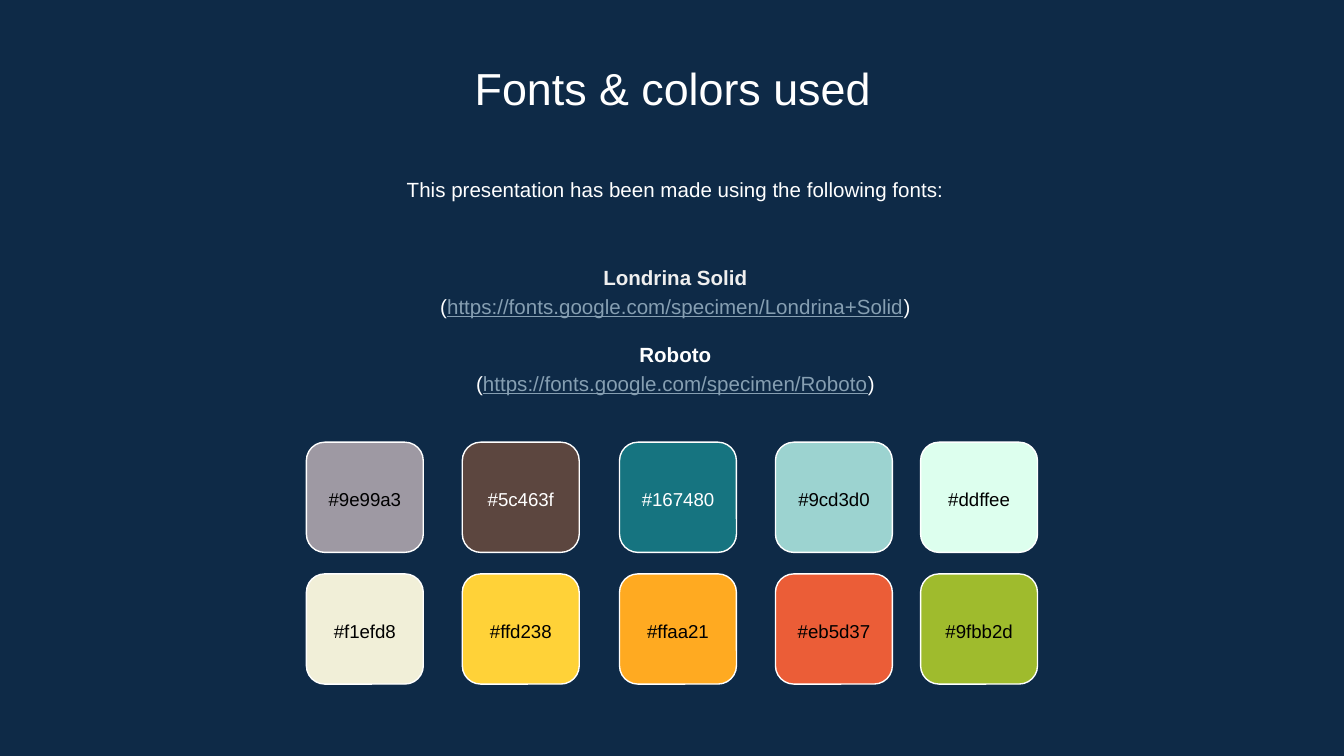
from pptx import Presentation
from pptx.dml.color import RGBColor
from pptx.enum.shapes import MSO_SHAPE as Shape
from pptx.enum.text import MSO_ANCHOR as Anchor, MSO_AUTO_SIZE as AutoSize, PP_ALIGN as Align
from pptx.util import Inches, Pt

WHITE, BLACK, PALE, LINK, NAVY = "FFFFFF", "000000", "EFEFEF", "869FB2", "0E2A47"
FONT_LINKS = [
    ("Londrina Solid", PALE, "https://fonts.google.com/specimen/Londrina+Solid"),
    ("Roboto", WHITE, "https://fonts.google.com/specimen/Roboto"),
]
PALETTE = [
    ["9e99a3", "5c463f", "167480", "9cd3d0", "ddffee"],
    ["f1efd8", "ffd238", "ffaa21", "eb5d37", "9fbb2d"],
]
DARK_SWATCHES = {"5c463f", "167480"}
COLUMN_LEFTS = [0, 1.16, 2.33, 3.49, 4.57]
ROW_STEP = 0.98
SWATCH_WIDTH, SWATCH_HEIGHT, LABEL_HEIGHT = 0.87, 0.82, 0.48


def rgb(hex_color):
    """Turn a hex string into a colour."""
    return RGBColor.from_string(hex_color.upper())


def set_frame(frame, anchor):
    """Give a text frame equal insets, wrapping and an anchor."""
    frame.word_wrap = True
    frame.auto_size = AutoSize.NONE
    frame.vertical_anchor = anchor
    frame.margin_left = frame.margin_right = Inches(0.1)
    frame.margin_top = frame.margin_bottom = Inches(0.1)


def add_text_frame(slide, box, anchor):
    """Add a text box and return its frame."""
    frame = slide.shapes.add_textbox(*map(Inches, box)).text_frame
    set_frame(frame, anchor)
    return frame


def add_run(paragraph, text, size, color, bold=False, underline=False):
    """Add one formatted run to a centred paragraph."""
    paragraph.alignment = Align.CENTER
    run = paragraph.add_run()
    run.text = text
    font = run.font
    font.name, font.size, font.bold, font.underline = "Arial", Pt(size), bold, underline
    font.color.rgb = rgb(color)


def add_title(slide, box):
    """Place and format the title placeholder."""
    title = slide.shapes.title
    title.left, title.top, title.width, title.height = map(Inches, box)
    set_frame(title.text_frame, Anchor.TOP)
    add_run(title.text_frame.paragraphs[0], "Fonts & colors used", 24, WHITE)


def add_intro(slide, box):
    """Add the sentence that introduces the fonts."""
    sentence = add_text_frame(slide, box, Anchor.TOP).paragraphs[0]
    sentence.line_spacing = 1.15
    add_run(sentence, "This presentation has been made using the following fonts:", 11, WHITE)


def add_font_list(slide, box):
    """Add each font name with its address below."""
    frame = add_text_frame(slide, box, Anchor.MIDDLE)
    for index, (name, name_color, address) in enumerate(FONT_LINKS):
        heading = frame.add_paragraph() if index else frame.paragraphs[0]
        if index:
            heading.space_before = Pt(11)
        add_run(heading, name, 11, name_color, bold=True)
        address_line = frame.add_paragraph()
        add_run(address_line, "(", 11, WHITE)
        add_run(address_line, address, 11, LINK, underline=True)
        add_run(address_line, ")", 11, WHITE)
    for paragraph in frame.paragraphs:
        paragraph.line_spacing = 1.15


def add_swatch(slide, left, top, color):
    """Add one rounded colour tile with its code centred on it."""
    box = (left, top, SWATCH_WIDTH, SWATCH_HEIGHT)
    tile = slide.shapes.add_shape(Shape.ROUNDED_RECTANGLE, *map(Inches, box))
    tile.shadow.inherit = False
    tile.fill.solid()
    tile.fill.fore_color.rgb = rgb(color)
    tile.line.color.rgb = rgb(WHITE)
    tile.line.width = Pt(0.75)
    label_top = top + (SWATCH_HEIGHT - LABEL_HEIGHT) / 2
    label_box = (left, label_top, SWATCH_WIDTH, LABEL_HEIGHT)
    label = add_text_frame(slide, label_box, Anchor.MIDDLE).paragraphs[0]
    label.line_spacing = 1.15
    add_run(label, f"#{color}", 10, WHITE if color in DARK_SWATCHES else BLACK)


def add_palette(slide, left, top):
    """Lay out the swatches in rows and columns."""
    for row, colors in enumerate(PALETTE):
        for column_left, color in zip(COLUMN_LEFTS, colors):
            add_swatch(slide, left + column_left, top + row * ROW_STEP, color)


def main():
    """Build and save the slide."""
    deck = Presentation()
    deck.slide_width = Inches(10)
    deck.slide_height = deck.slide_width * 9 // 16
    slide = deck.slides.add_slide(deck.slide_layouts[5])
    slide.background.fill.solid()
    slide.background.fill.fore_color.rgb = rgb(NAVY)
    add_title(slide, (1.15, 0.35, 7.71, 0.53))
    add_intro(slide, (1.17, 1.19, 7.71, 0.48))
    add_font_list(slide, (1.17, 1.76, 7.71, 1.37))
    add_palette(slide, 2.28, 3.29)
    deck.save("out.pptx")


if __name__ == "__main__":
    main()
